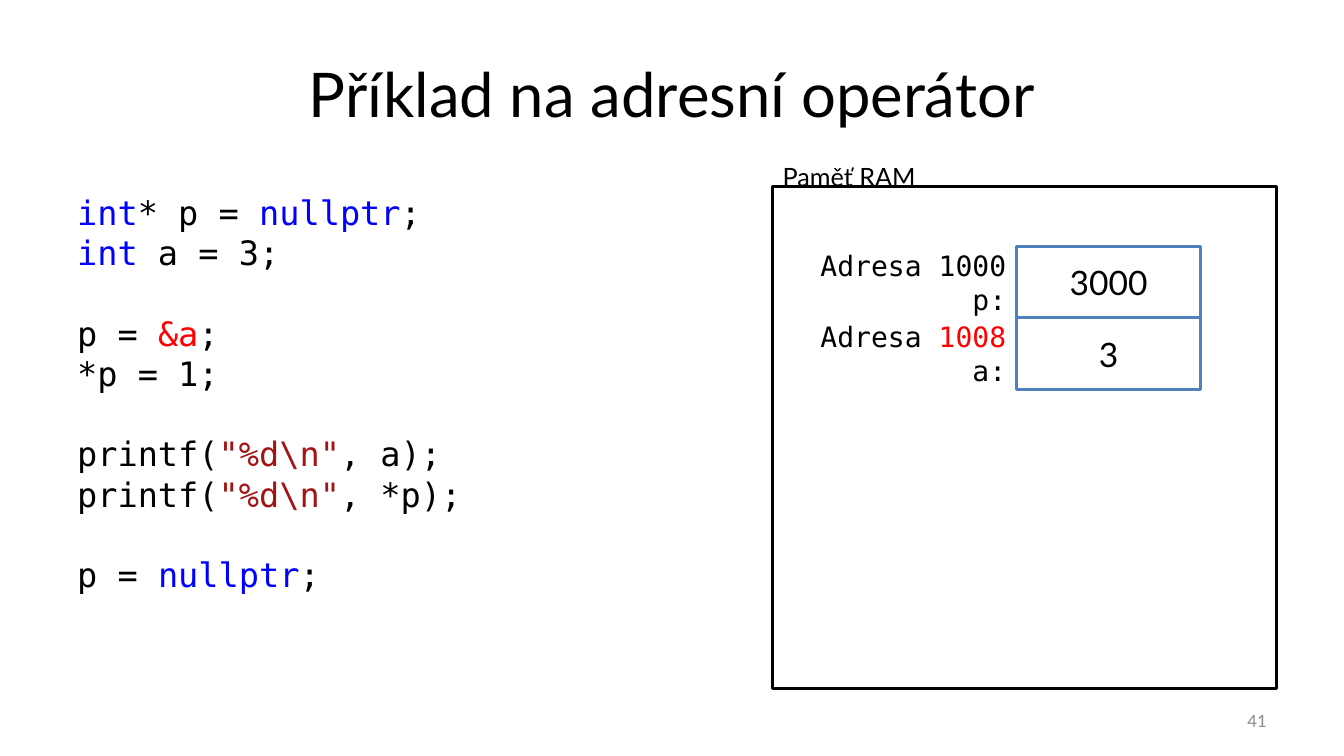
from pptx import Presentation
from pptx.dml.color import RGBColor
from pptx.enum.shapes import MSO_SHAPE
from pptx.enum.text import MSO_ANCHOR, PP_ALIGN
from pptx.util import Pt

SANS, MONO = "Lato", "DejaVu Sans Mono"
BLACK, WHITE, GREY = "000000", "FFFFFF", "8C8C8C"
BLUE, RED, STRING, CELL_LINE = "0000FF", "FF0000", "A31515", "4F81BD"


def color(value):
    return RGBColor.from_string(value)


class SlideBuilder:
    def __init__(self, slide):
        self.slide = slide

    def _write(self, tf, lines, size, font, align, anchor, ink):
        """Fill a frame; a line is a list of (text, colour), an empty line is a gap."""
        tf.word_wrap = True
        tf.vertical_anchor = anchor
        pitch = Pt(1.2 * size)
        p, gap = None, False
        for line in lines:
            if not line:
                gap = True
                continue
            p = tf.add_paragraph() if p is not None else tf.paragraphs[0]
            p.alignment = align
            p.font.size, p.font.name = Pt(size), font
            p.font.color.rgb = color(ink)
            if font == MONO:
                p.line_spacing = pitch
            if gap:
                p.space_before = pitch
                gap = False
            for text, run_ink in line:
                r = p.add_run()
                r.text = text
                if run_ink != ink:
                    r.font.color.rgb = color(run_ink)

    def text(self, x, y, w, h, lines, size, font=SANS, align=PP_ALIGN.LEFT,
             anchor=MSO_ANCHOR.TOP, ink=BLACK):
        s = self.slide.shapes.add_textbox(Pt(x), Pt(y), Pt(w), Pt(h))
        self._write(s.text_frame, lines, size, font, align, anchor, ink)

    def box(self, x, y, w, h, line, label=None):
        s = self.slide.shapes.add_shape(MSO_SHAPE.RECTANGLE, Pt(x), Pt(y), Pt(w), Pt(h))
        s.shadow.inherit = False
        s.fill.solid()
        s.fill.fore_color.rgb = color(WHITE)
        s.line.color.rgb = color(line)
        s.line.width = Pt(2)
        if label:
            self._write(s.text_frame, [[(label, BLACK)]], 24, SANS,
                        PP_ALIGN.CENTER, MSO_ANCHOR.MIDDLE, BLACK)


CODE = [
    [("int", BLUE), ("* p = ", BLACK), ("nullptr", BLUE), (";", BLACK)],
    [("int", BLUE), (" a = 3;", BLACK)],
    [],
    [("p = ", BLACK), ("&a", RED), (";", BLACK)],
    [("*p = 1;", BLACK)],
    [],
    [("printf(", BLACK), (r'"%d\n"', STRING), (", a);", BLACK)],
    [("printf(", BLACK), (r'"%d\n"', STRING), (", *p);", BLACK)],
    [],
    [("p = ", BLACK), ("nullptr", BLUE), (";", BLACK)],
]
# address, address colour, variable, stored value
MEMORY = [("1000", BLACK, "p:", "3000"), ("1008", RED, "a:", "3")]
CELL_TOP, CELL_H = 176.2, 50.9


def main():
    prs = Presentation()
    prs.slide_width, prs.slide_height = Pt(960), Pt(540)
    sb = SlideBuilder(prs.slides.add_slide(prs.slide_layouts[6]))

    sb.text(48, 21.6, 864, 90, [[("Příklad na adresní operátor", BLACK)]], 44,
            align=PP_ALIGN.CENTER, anchor=MSO_ANCHOR.MIDDLE)
    sb.text(688, 500.5, 224, 28.75, [[("41", GREY)]], 12,
            align=PP_ALIGN.RIGHT, anchor=MSO_ANCHOR.MIDDLE, ink=GREY)
    sb.box(552, 133.2, 360, 358.6, BLACK)
    sb.text(552, 111.6, 134, 29, [[("Paměť RAM", BLACK)]], 18)

    for i, (address, ink, variable, value) in enumerate(MEMORY):
        y = CELL_TOP + i * CELL_H
        sb.box(725.8, y, 132, CELL_H, CELL_LINE, value)
        sb.text(576, y - 2.4, 149.8, 55.7,
                [[("Adresa ", BLACK), (address, ink)], [(variable, BLACK)]], 20,
                MONO, PP_ALIGN.RIGHT, MSO_ANCHOR.MIDDLE)

    sb.text(48, 133.2, 325.4, 298, CODE, 24, MONO)
    prs.save("out.pptx")


if __name__ == "__main__":
    main()
